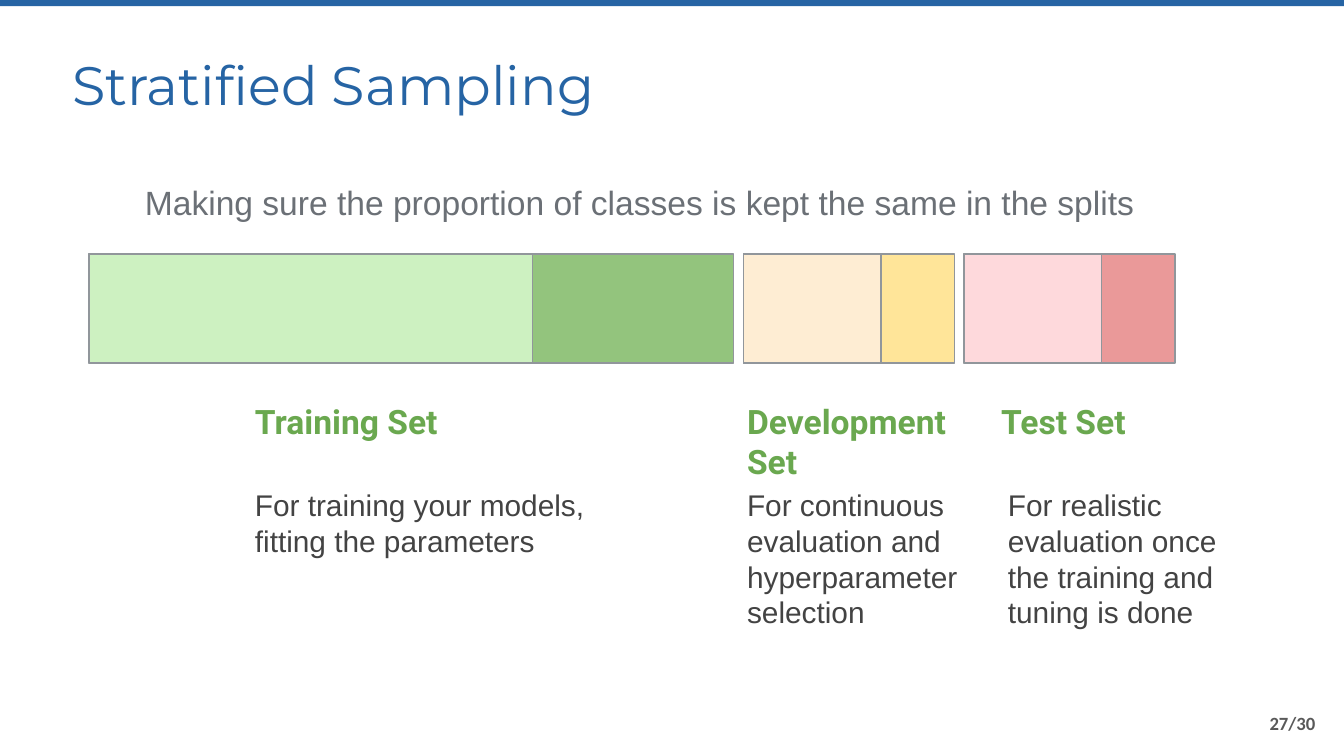
from pptx import Presentation
from pptx.dml.color import RGBColor
from pptx.enum.shapes import MSO_SHAPE
from pptx.enum.text import MSO_ANCHOR, MSO_AUTO_SIZE, PP_ALIGN
from pptx.util import Cm, Pt

TITLE = "Stratified Sampling"
TAGLINE = "Making sure the proportion of classes is kept the same in the splits"
PAGE = "27/30"
SPLITS = [
    {"name": "Training Set", "width": 12.19, "majority": 8.38,
     "light": "CDF1C1", "dark": "93C47D", "name_x": 4.57, "use_x": 4.57, "use_width": 6.86,
     "use": "For training your models, fitting the parameters"},
    {"name": "Development Set", "width": 3.99, "majority": 2.6,
     "light": "FEEDD3", "dark": "FFE599", "name_x": 13.87, "use_x": 13.87, "use_width": 4.93,
     "use": "For continuous evaluation and hyperparameter selection"},
    {"name": "Test Set", "width": 3.99, "majority": 2.6,
     "light": "FED9DC", "dark": "EA9999", "name_x": 18.67, "use_x": 18.8, "use_width": 4.93,
     "use": "For realistic evaluation once the training and tuning is done"},
]
BAR_LEFT, BAR_TOP, BAR_HEIGHT, BAR_GAP = 1.68, 4.8, 2.06, 0.18
SLIDE_WIDTH, SLIDE_HEIGHT = 25.4, 14.28


def color(value):
    return RGBColor.from_string(value)


def add_rect(s, x, y, w, h, fill, line=None):
    sp = s.shapes.add_shape(MSO_SHAPE.RECTANGLE, Cm(x), Cm(y), Cm(w), Cm(h))
    sp.shadow.inherit = False
    sp.fill.solid()
    sp.fill.fore_color.rgb = color(fill)
    if line:
        sp.line.color.rgb = color(line)
        sp.line.width = Pt(0.75)
    else:
        sp.line.fill.background()


def write(sp, text, font, size, fill, bold=False, inset=0.25,
          anchor=MSO_ANCHOR.TOP, align=PP_ALIGN.LEFT):
    tf = sp.text_frame
    tf.word_wrap = True
    tf.auto_size = MSO_AUTO_SIZE.NONE
    tf.vertical_anchor = anchor
    tf.margin_left = tf.margin_right = tf.margin_top = tf.margin_bottom = Cm(inset)
    p = tf.paragraphs[0]
    p.alignment = align
    r = p.add_run()
    r.text = text
    r.font.name, r.font.size, r.font.bold = font, Pt(size), bold
    r.font.color.rgb = color(fill)


def add_text(s, x, y, w, h, *content, **style):
    write(s.shapes.add_textbox(Cm(x), Cm(y), Cm(w), Cm(h)), *content, **style)


def main():
    """Build the stratified sampling slide."""
    prs = Presentation()
    prs.slide_width, prs.slide_height = Cm(SLIDE_WIDTH), Cm(SLIDE_HEIGHT)
    s = prs.slides.add_slide(prs.slide_layouts[5])

    add_rect(s, 0, 0, SLIDE_WIDTH, 0.12, "2664A4")
    title = s.shapes.title
    title.left, title.top, title.width, title.height = Cm(1.37), Cm(0.97), Cm(19.43), Cm(1.22)
    write(title, TITLE, "Montserrat", 29, "2664A4", inset=0, anchor=MSO_ANCHOR.MIDDLE)
    add_text(s, 2.74, 3.2, 19.43, 1.22, TAGLINE, "Arial", 18, "6B7076",
             inset=0, anchor=MSO_ANCHOR.MIDDLE)

    x = BAR_LEFT
    for split in SPLITS:
        for part, shade in (("width", "dark"), ("majority", "light")):
            add_rect(s, x, BAR_TOP, split[part], BAR_HEIGHT, split[shade], "91969B")
        x += split["width"] + BAR_GAP
        add_text(s, split["name_x"], 7.32, 4.93, 0.86, split["name"],
                 "Roboto", 18, "6AA84F", bold=True)
        add_text(s, split["use_x"], 8.94, split["use_width"], 1.42, split["use"],
                 "Arial", 16, "434343")

    add_text(s, 23.7, 13.34, 1.45, 0.64, PAGE, "Calibri", 10, "595959",
             bold=True, inset=0.1, align=PP_ALIGN.CENTER)
    prs.save("out.pptx")


if __name__ == "__main__":
    main()
